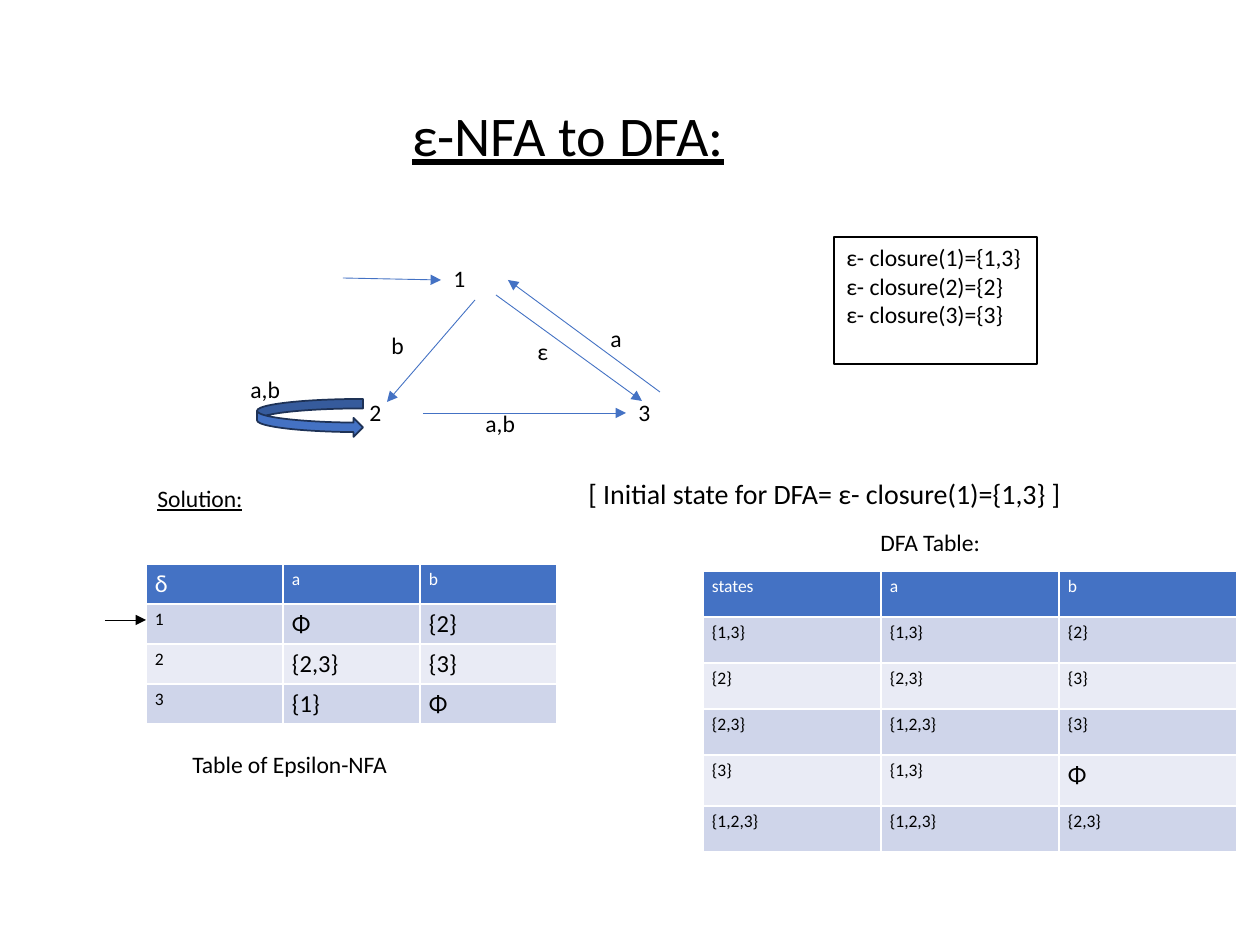
from lxml.etree import SubElement
from pptx import Presentation
from pptx.dml.color import RGBColor
from pptx.enum.shapes import MSO_CONNECTOR as Connector, MSO_SHAPE as Preset
from pptx.enum.text import MSO_ANCHOR as Anchor, MSO_AUTO_SIZE as AutoSize, PP_ALIGN as Align
from pptx.oxml.ns import qn
from pptx.util import Emu, Pt

SCALE = 914400 / 126
COLORS = {
    "text": "000000",
    "white": "FFFFFF",
    "accent": "4472C4",
    "loop_line": "1E3256",
    "band_dark": "CFD5EA",
    "band_light": "E9EBF5",
}
FRAME_FORMAT = {
    "word_wrap": True,
    "auto_size": AutoSize.NONE,
    "vertical_anchor": Anchor.TOP,
    "margin_left": Pt(7.2),
    "margin_right": Pt(7.2),
    "margin_top": Pt(3.6),
    "margin_bottom": Pt(3.6),
}
BODY = 13.5
LINE_HEIGHT = 42


def px(value):
    return Emu(round(value * SCALE))


def color(name):
    return RGBColor.from_string(COLORS[name])


def set_attributes(target, values):
    for name, value in values.items():
        setattr(target, name, value)


def format_text(frame, size, color_name="text", underline=False, align=Align.LEFT):
    font_format = {"name": "Calibri", "size": Pt(size), "bold": False, "underline": underline}
    for paragraph in frame.paragraphs:
        paragraph.alignment = align
        for run in paragraph.runs:
            set_attributes(run.font, font_format)
            run.font.color.rgb = color(color_name)


def fill_title(slide, text, left, top, width, height):
    title = slide.shapes.title
    set_attributes(title, {"left": px(left), "top": px(top), "width": px(width), "height": px(height)})
    title.text_frame.text = text
    set_attributes(title.text_frame, FRAME_FORMAT)
    format_text(title.text_frame, 32, underline=True, align=Align.CENTER)


def add_text(slide, text, left, top, width, height=LINE_HEIGHT, size=BODY, underline=False):
    box = slide.shapes.add_textbox(px(left), px(top), px(width), px(height))
    box.text_frame.text = text
    set_attributes(box.text_frame, FRAME_FORMAT)
    format_text(box.text_frame, size, underline=underline)
    return box


def add_arrow(slide, start, end, color_name="accent"):
    points = [px(value) for value in (*start, *end)]
    arrow = slide.shapes.add_connector(Connector.STRAIGHT, *points)
    arrow.line.color.rgb = color(color_name)
    arrow.line.width = Pt(0.5)
    SubElement(arrow.line._get_or_add_ln(), qn("a:tailEnd"), type="triangle")
    SubElement(arrow._element.spPr, qn("a:effectLst"))


def add_loop(slide, left, top, width, height):
    loop = slide.shapes.add_shape(Preset.CURVED_RIGHT_ARROW, px(left), px(top), px(width), px(height))
    loop.shadow.inherit = False
    loop.fill.solid()
    loop.fill.fore_color.rgb = color("accent")
    loop.line.color.rgb = color("loop_line")
    loop.line.width = Pt(1)


def add_state_table(slide, rows, left, top, column_width, row_heights, body_size):
    width = column_width * len(rows[0])
    frame = slide.shapes.add_table(
        len(rows), len(rows[0]), px(left), px(top), px(width), px(sum(row_heights)))
    table = frame.table
    for column in table.columns:
        column.width = px(column_width)
    margins = {"margin_left": px(9), "margin_right": px(9), "margin_top": px(5), "margin_bottom": px(5)}
    for row_index, texts in enumerate(rows):
        table.rows[row_index].height = px(row_heights[row_index])
        band = "band_dark" if row_index % 2 else "band_light"
        for column_index, text in enumerate(texts):
            cell = table.cell(row_index, column_index)
            cell.text = text
            set_attributes(cell, margins)
            cell.fill.solid()
            cell.fill.fore_color.rgb = color(band if row_index else "accent")
            size = body_size if row_index and column_index else 10
            format_text(cell.text_frame, 14 if text in ("δ", "Φ") else size,
                        "text" if row_index else "white")


def add_automaton(slide):
    labels = [
        ("1", 441, 258), ("2", 357, 392), ("3", 626, 392),
        ("b", 379, 325), ("a", 598, 318), ("ε", 525, 331),
        ("a,b", 473, 403), ("a,b", 238, 369),
    ]
    edges = [
        ((343, 278), (441, 280)),
        ((475, 300), (387, 402)),
        ((423, 413), (626, 413)),
        ((496, 295), (642, 401)),
        ((660, 392), (508, 280)),
    ]
    add_loop(slide, 257, 399, 106, 38)
    for start, end in edges:
        add_arrow(slide, start, end)
    for text, left, top in labels:
        add_text(slide, text, left, top, 67)


def add_closures(slide):
    text = "ε- closure(1)={1,3}\vε- closure(2)={2}\nε- closure(3)={3}"
    box = add_text(slide, text, 834, 237, 203, 127)
    box.line.color.rgb = color("text")
    box.line.width = Pt(0.75)


def main():
    presentation = Presentation()
    presentation.slide_width = px(1260)
    presentation.slide_height = px(945)
    slide = presentation.slides.add_slide(presentation.slide_layouts[5])

    fill_title(slide, "ε-NFA to DFA:", 398, 94, 340, 81)
    add_automaton(slide)
    add_closures(slide)
    add_text(slide, "Solution:", 145, 478, 114, underline=True)
    add_text(slide, "[ Initial state for DFA= ε- closure(1)={1,3} ]", 576, 470, 508, 47, size=16)
    add_text(slide, "DFA Table:", 868, 522, 128)
    add_text(slide, "Table of Epsilon-NFA", 180, 744, 225)

    nfa_rows = [
        ("δ", "a", "b"),
        ("1", "Φ", "{2}"),
        ("2", "{2,3}", "{3}"),
        ("3", "{1}", "Φ"),
    ]
    dfa_rows = [
        ("states", "a", "b"),
        ("{1,3}", "{1,3}", "{2}"),
        ("{2}", "{2,3}", "{3}"),
        ("{2,3}", "{1,2,3}", "{3}"),
        ("{3}", "{1,3}", "Φ"),
        ("{1,2,3}", "{1,2,3}", "{2,3}"),
    ]
    add_state_table(slide, nfa_rows, 146, 564, 137, [40] * 4, body_size=14)
    add_state_table(slide, dfa_rows, 703, 571, 178, [46, 46, 46, 46, 51, 46], body_size=10)
    add_arrow(slide, (105, 620), (146, 620), "text")

    presentation.save("out.pptx")


if __name__ == "__main__":
    main()
